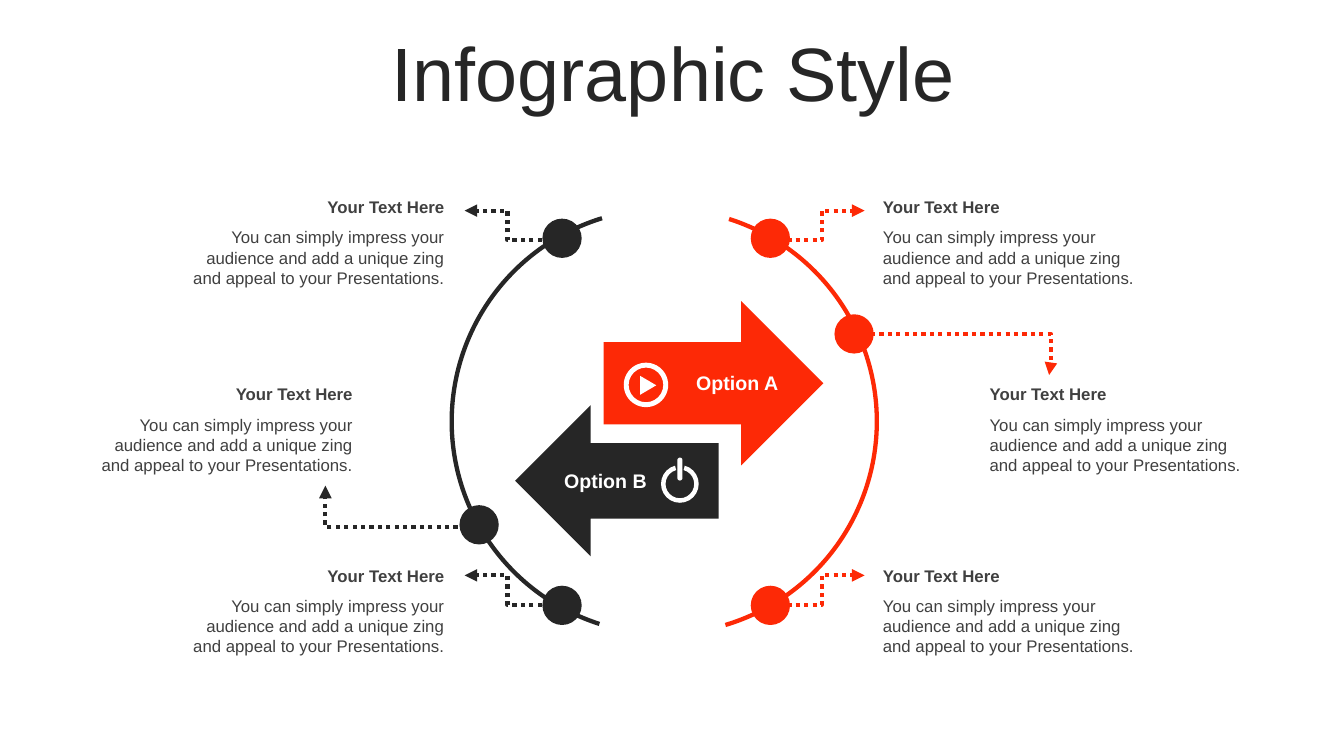
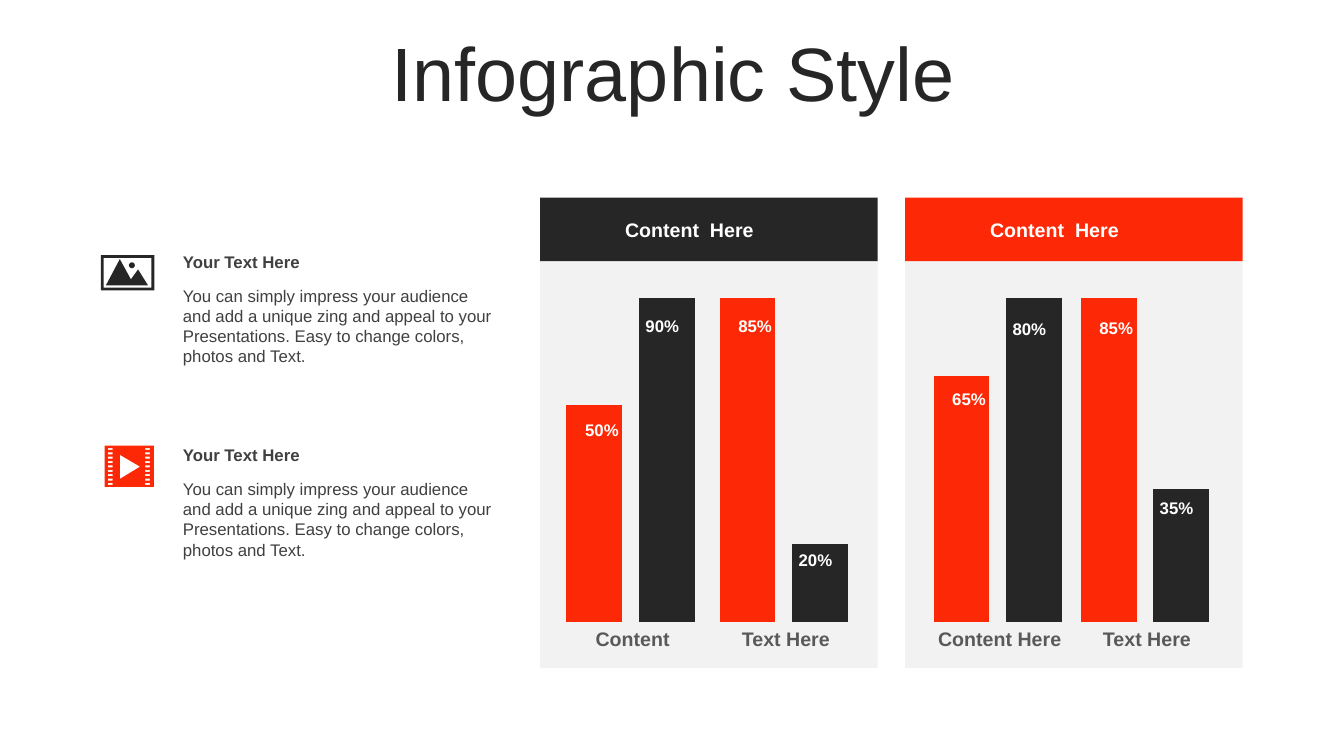
"""Build two infographic slides: a two-way cycle and a pair of bar panels."""
from pptx import Presentation
from pptx import util as u
from pptx.chart.data import CategoryChartData
from pptx.dml.color import RGBColor
from pptx.enum import chart as ch, dml, shapes, text
from pptx.oxml import parse_xml
from pptx.oxml.ns import nsdecls, qn

DARK = RGBColor(0x26, 0x26, 0x26)
RED = RGBColor(0xFD, 0x29, 0x06)
GREY = RGBColor(0x40, 0x40, 0x40)
LABEL = RGBColor(0x59, 0x59, 0x59)
PANEL = RGBColor(0xF2, 0xF2, 0xF2)
WHITE = RGBColor(0xFF, 0xFF, 0xFF)

FONT = "Arial"
TITLE = {"size": u.Pt(54), "bold": False}
HEAD = {"size": u.Pt(12), "bold": True}
BODY = {"size": u.Pt(12), "bold": False}
CAPTION = {"size": u.Pt(14), "bold": True}

MSO = shapes.MSO_SHAPE
LEFT, CENTER, RIGHT = (text.PP_ALIGN.LEFT, text.PP_ALIGN.CENTER,
                       text.PP_ALIGN.RIGHT)
TOP, MIDDLE = text.MSO_ANCHOR.TOP, text.MSO_ANCHOR.MIDDLE

HEADING = "Your Text Here"
SHORT = ("You can simply impress your audience and add a unique zing "
         "and appeal to your Presentations.")
LONG = SHORT + " Easy to change colors, photos and Text."


def cm(*values):
    """Convert numbers to centimetre lengths."""
    return [u.Cm(v) for v in values]


def paint(sp, color):
    """Give a shape a plain fill without line or shadow."""
    sp.shadow.inherit = False
    sp.fill.solid()
    sp.fill.fore_color.rgb = color
    sp.line.fill.background()
    return sp


def shape(s, kind, x, y, w, h, color, adj=(), rotation=0):
    """Add a filled preset shape."""
    sp = paint(s.shapes.add_shape(kind, *cm(x, y, w, h)), color)
    for i, value in enumerate(adj):
        sp.adjustments[i] = value
    sp.rotation = rotation
    return sp


def outline(s, x, y, color, *contours):
    """Add one freeform made of closed contours relative to x, y."""
    rings = [[cm(x + px, y + py) for px, py in c] for c in contours]
    fb = s.shapes.build_freeform(*rings[0][0])
    for i, ring in enumerate(rings):
        if i:
            fb.move_to(*ring[0])
        fb.add_line_segments(ring[1:], close=True)
    return paint(fb.convert_to_shape(), color)


def label(s, words, x, y, w, h, fmt, color, align=LEFT, anchor=TOP):
    """Add a wrapped one-paragraph text box."""
    tf = s.shapes.add_textbox(*cm(x, y, w, h)).text_frame
    tf.word_wrap = True
    tf.vertical_anchor = anchor
    p = tf.paragraphs[0]
    p.alignment = align
    r = p.add_run()
    r.text = words
    for name, value in {"name": FONT, **fmt}.items():
        setattr(r.font, name, value)
    r.font.color.rgb = color
    return p


def new_slide(prs):
    """Add a blank slide with the shared title."""
    s = prs.slides.add_slide(prs.slide_layouts[6])
    p = label(s, "Infographic Style", 0.89, 0.94, 32.16, 2.01, TITLE, DARK,
              CENTER, MIDDLE)
    p.line_spacing = 0.9
    return s


def entry(s, x, y, w, words, drop, h, align=LEFT):
    """Add a bold heading with body text below it."""
    label(s, HEADING, x, y, w, 0.76, HEAD, GREY, align)
    label(s, words, x, y + drop, w, h, BODY, GREY, align)


def leader(s, x1, y1, x2, y2, color, bend):
    """Add a dotted elbow arrow; bend sets where it turns."""
    c = s.shapes.add_connector(shapes.MSO_CONNECTOR.ELBOW,
                               *cm(x1, y1, x2, y2))
    c.line.color.rgb = color
    c.line.width = u.Pt(3)
    c.line.dash_style = dml.MSO_LINE.ROUND_DOT
    spPr = c._element.spPr
    spPr.find(qn("a:ln")).append(
        parse_xml(f'<a:tailEnd {nsdecls("a")} type="triangle"/>'))
    spPr.append(parse_xml(f'<a:effectLst {nsdecls("a")}/>'))
    geom = spPr.find(qn("a:prstGeom"))
    if bend == "corner":
        geom.set("prst", "bentConnector2")
    elif bend:
        for av in geom.findall(qn("a:avLst")):
            geom.remove(av)
        geom.append(parse_xml(
            f'<a:avLst {nsdecls("a")}><a:gd name="adj1" '
            f'fmla="val {bend}"/></a:avLst>'))


def callout(s, x, y, color, align, dot, start, end, note, width, bend=None):
    """Add a dot on the ring, its leader and its text, relative to x, y."""
    leader(s, x + start[0], y + start[1], x + end[0], y + end[1], color, bend)
    shape(s, MSO.OVAL, x + dot[0], y + dot[1], 0.99, 0.99, color)
    entry(s, x + note[0], y + note[1], width, SHORT, 0.77, 1.8, align)


def play_icon(s, x, y):
    """Draw a ringed play sign."""
    shape(s, MSO.DONUT, x, y, 1.12, 1.12, WHITE, [0.11])
    outline(s, x, y, WHITE, [(0.41, 0.33), (0.82, 0.57), (0.41, 0.81)])


def power_icon(s, x, y):
    """Draw a power sign."""
    shape(s, MSO.BLOCK_ARC, x, y + 0.19, 0.95, 0.95, WHITE, [171, 153, 0.12])
    shape(s, MSO.ROUNDED_RECTANGLE, x + 0.41, y, 0.13, 0.58, WHITE, [0.5])


def options(s, x, y):
    """Draw the two opposed option arrows, relative to the ring box."""
    shape(s, MSO.RIGHT_ARROW, x + 1.65, y + 5, 5.13, 3.81, DARK, rotation=180)
    shape(s, MSO.RIGHT_ARROW, x + 3.88, y + 2.38, 5.54, 4.14, RED)
    for words, dx, dy in (("Option A", 5.66, 4.01), ("Option B", 2.34, 6.47)):
        label(s, words, x + dx, y + dy, 3.18, 0.86, CAPTION, WHITE, CENTER,
              MIDDLE)
    play_icon(s, x + 4.39, y + 3.93)
    power_icon(s, x + 5.33, y + 6.32)


def cycle(s, x, y, d):
    """Draw the two half rings, the options and six callouts."""
    for color, rotation, stop in ((RED, 90, 205.97), (DARK, 270, 205.79)):
        shape(s, MSO.BLOCK_ARC, x, y, d, d, color, [118.65, stop, 0.01],
              rotation)
    options(s, x, y)
    for dot_y, start_y, end_y, note_y in ((0.3, 0.84, 0.1, -0.38),
                                          (9.55, 10.03, 9.29, 8.91)):
        callout(s, x, y, RED, LEFT, (7.59, dot_y), (8.3, start_y),
                (10.46, end_y), (10.67, note_y), 6.99)
        callout(s, x, y, DARK, RIGHT, (2.34, dot_y), (2.54, start_y),
                (0.38, end_y), (-7.09, note_y), 7.21)
    callout(s, x, y, RED, LEFT, (9.7, 2.71), (10.62, 3.2), (15.11, 4.24),
            (13.36, 4.34), 6.99, 100900)
    callout(s, x, y, DARK, RIGHT, (0.25, 7.52), (0.63, 8.07), (-3.13, 7.03),
            (-9.07, 4.34), 6.88, "corner")


def photo_icon(s, x, y):
    """Draw a framed landscape."""
    shape(s, MSO.FRAME, x, y, 1.35, 0.89, DARK, [0.08])
    outline(s, x, y, DARK, [(0.48, 0.1), (0.76, 0.61), (0.94, 0.36),
                            (1.19, 0.76), (0.13, 0.76)])
    shape(s, MSO.OVAL, x + 0.71, y + 0.18, 0.15, 0.15, DARK)


def box(x, y, w, h):
    """Return the corners of a rectangle, counter-clockwise."""
    return [(x, y), (x, y + h), (x + w, y + h), (x + w, y)]


def film_icon(s, x, y):
    """Draw a film frame with perforations and a play sign."""
    holes = [box(dx, 0.06 + 0.11 * i, 0.12, 0.05)
             for i in range(9) for dx in (0.08, 1.02)]
    edge = box(0, 0, 1.24, 1.04)[::-1]
    outline(s, x, y, RED, edge, [(0.38, 0.23), (0.38, 0.84), (0.89, 0.53)],
            *holes)


def bars(s, x, y, values):
    """Add a two-column chart without axes."""
    data = CategoryChartData()
    data.categories = ["1", "2"]
    data.add_series("Series 1", values)
    chart = s.shapes.add_chart(ch.XL_CHART_TYPE.COLUMN_STACKED,
                               *cm(x, y, 3.81, 9.07), data).chart
    chart.has_legend = False
    chart.has_title = False
    chart.font.name = FONT
    chart.font.size = u.Pt(18)
    axis = chart.value_axis
    for name, value in {"minimum_scale": 0, "maximum_scale": 100,
                        "has_major_gridlines": False,
                        "visible": False}.items():
        setattr(axis, name, value)
    chart.category_axis.visible = False
    plot = chart.plots[0]
    plot.gap_width, plot.overlap, plot.vary_by_categories = 30, 100, False
    for i, color in enumerate((RED, DARK)):
        fill = plot.series[0].points[i].format.fill
        fill.solid()
        fill.fore_color.rgb = color
    area = chart._chartSpace.chart.plotArea
    for old in area.findall(qn("c:layout")):
        area.remove(old)
    frame = {"layoutTarget": "inner", "xMode": "edge", "yMode": "edge",
             "x": 0.02, "y": 0.08, "w": 0.96, "h": 0.9}
    parts = "".join(f'<c:{k} val="{v}"/>' for k, v in frame.items())
    area.insert(0, parse_xml(
        f'<c:layout {nsdecls("c")}><c:manualLayout>{parts}'
        '</c:manualLayout></c:layout>'))


def panel(s, x, y, color, groups):
    """Draw a headed panel with a chart and caption for each group."""
    shape(s, MSO.RECTANGLE, x, y + 1.57, 8.51, 10.29, PANEL)
    shape(s, MSO.RECTANGLE, x, y, 8.51, 1.6, color)
    label(s, "Content  Here", x + 0.4, y + 0.38, 6.73, 0.86, CAPTION, WHITE,
          CENTER)
    for dx, name, values, marks in groups:
        bars(s, x + dx, y + 1.8, values)
        label(s, name, x + dx + 0.05, y + 10.69, 3.81, 0.86, CAPTION, LABEL,
              CENTER, MIDDLE)
        for (words, dy), mx in zip(marks, (0.38, 1.9)):
            label(s, words, x + dx + mx, y + dy, 1.6, 0.76, HEAD, WHITE,
                  CENTER)


def main():
    """Build and save the deck."""
    prs = Presentation()
    prs.slide_width, prs.slide_height = cm(33.87, 19.05)
    cycle(new_slide(prs), 11.33, 5.21, 10.82)

    s = new_slide(prs)
    panel(s, 13.61, 4.98, DARK, [
        (0.38, "Content", (67, 100), (("50%", 5.46), ("90%", 2.84))),
        (4.24, "Text Here", (100, 24), (("85%", 2.84), ("20%", 8.76)))])
    panel(s, 22.81, 4.98, RED, [
        (0.43, "Content Here", (76, 100), (("65%", 4.7), ("80%", 2.92))),
        (4.14, "Text Here", (100, 41), (("85%", 2.9), ("35%", 7.44)))])
    for y in (6.22, 11.09):
        entry(s, 4.36, y, 8.48, LONG, 0.85, 2.31)
    photo_icon(s, 2.54, 6.43)
    film_icon(s, 2.64, 11.23)
    prs.save("out.pptx")


if __name__ == "__main__":
    main()
